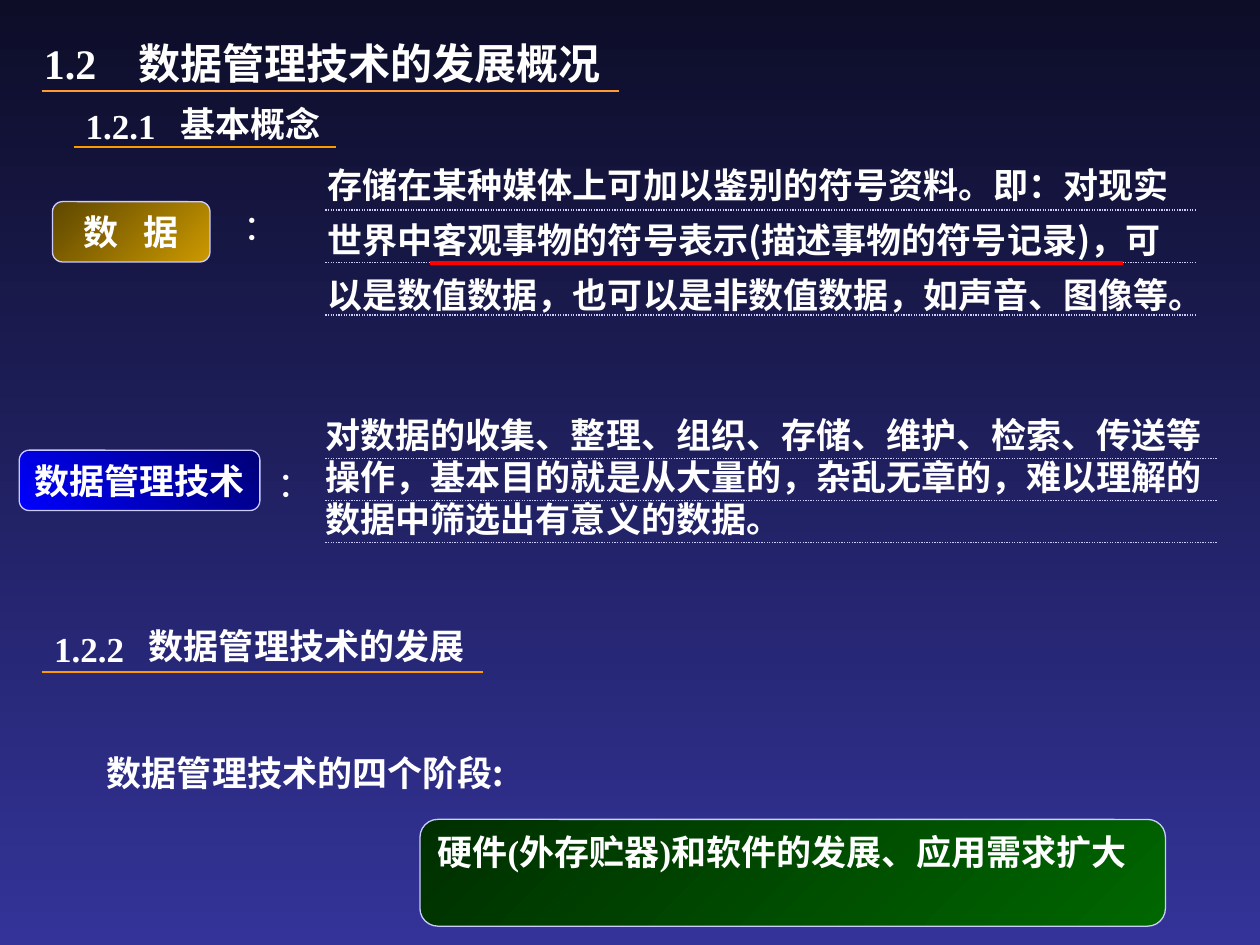
from pptx import Presentation
from pptx.dml.color import RGBColor
from pptx.enum.dml import MSO_LINE
from pptx.enum.shapes import MSO_CONNECTOR, MSO_SHAPE
from pptx.enum.text import MSO_ANCHOR, MSO_AUTO_SIZE, PP_ALIGN
from pptx.oxml.ns import qn
from pptx.util import Pt
from lxml import etree

ROUNDED = MSO_SHAPE.ROUNDED_RECTANGLE
STRAIGHT = MSO_CONNECTOR.STRAIGHT
DOTTED = MSO_LINE.ROUND_DOT
TOP, MIDDLE = MSO_ANCHOR.TOP, MSO_ANCHOR.MIDDLE
LEFT, CENTER = PP_ALIGN.LEFT, PP_ALIGN.CENTER
GROW, FIXED = MSO_AUTO_SIZE.SHAPE_TO_FIT_TEXT, MSO_AUTO_SIZE.NONE

THEME = {
    "background": ("0D0D28", "333399"),
    "gold": ("5E4700", "CC9900"),
    "blue": ("0000FF", "000076"),
    "green": ("002F00", "006600"),
    "text": "FFFFFF",
    "outline": "CCCCFF",
    "title rule": "FF9933",
    "section rule": "FF9900",
    "emphasis": "FF0000",
    "title size": 24,
    "body size": 20,
    "latin": "Times New Roman",
    "chinese": "Noto Sans CJK SC",
}


def write(shape, lines, size=THEME["body size"], font=THEME["latin"], bold=True,
          align=LEFT, anchor=TOP, gap=0, wrap=True, fit=GROW):
    """Fill a shape with lines; each line is a list of (text, letter spacing) runs."""
    frame = shape.text_frame
    frame.word_wrap = wrap
    frame.auto_size = fit
    frame.vertical_anchor = anchor
    for index, runs in enumerate(lines):
        paragraph = frame.add_paragraph() if index else frame.paragraphs[0]
        paragraph.alignment = align
        paragraph.space_before = Pt(gap if index else 0)
        for text, spacing in runs:
            run = paragraph.add_run()
            run.text = text
            run.font.size = Pt(size)
            run.font.bold = bold
            run.font.name = font
            run.font.color.rgb = RGBColor.from_string(THEME["text"])
            properties = run.font._element
            etree.SubElement(properties, qn("a:ea")).set("typeface", THEME["chinese"])
            if spacing:
                properties.set("spc", str(spacing * 100))


def shade(fill, colors, angle):
    fill.gradient()
    fill.gradient_angle = angle
    for stop, color, position in zip(fill.gradient_stops, colors, (0, 1)):
        stop.color.rgb = RGBColor.from_string(color)
        stop.position = position


presentation = Presentation()
presentation.slide_width, presentation.slide_height = Pt(720), Pt(540)
slide = presentation.slides.add_slide(presentation.slide_layouts[5])
shapes = slide.shapes
shade(slide.background.fill, THEME["background"], 270)

title = shapes.title
title.left, title.top, title.width, title.height = Pt(40), Pt(18), Pt(342), Pt(36)
write(title, [[("数据管理技术的发展概况", 0)]], size=THEME["title size"],
      font=THEME["chinese"], align=CENTER, anchor=MIDDLE, fit=FIXED)

# Rules: left, right, y, color, width, dash
rules = [
    (23.75, 353.5, 52.1, "title rule", 1.5, None),
    (42.25, 192, 84, "section rule", 1, None),
    (24, 276, 384, "section rule", 1, None),
]
rules += [(186, 684, 120 + 30 * row, "outline", 0.75, DOTTED) for row in range(3)]
rules += [(186, 695.5, 262 + 24 * row, "outline", 0.75, DOTTED) for row in range(3)]
rules.append((246, 642, 150.1, "emphasis", 2.25, None))
for left, right, y, color, width, dash in rules:
    rule = shapes.add_connector(STRAIGHT, Pt(left), Pt(y), Pt(right), Pt(y))
    rule.line.color.rgb = RGBColor.from_string(THEME[color])
    rule.line.width = Pt(width)
    if dash:
        rule.line.dash_style = dash
    etree.SubElement(rule._element.spPr, qn("a:effectLst"))

# Colored boxes: place, gradient, angle, runs, options
boxes = [
    ((30, 115.25, 90, 34.5), "gold", 315, [("数 ", 5), ("据", 0)], {"align": CENTER}),
    ((11, 257.25, 137.5, 34.5), "blue", 45, [("数据管理技术", 0)], {"wrap": False}),
    ((240, 468.25, 426, 61), "green", 315,
     [("硬件(外存贮器)和软件的发展、应用需求扩大", 0)], {}),
]
for place, colors, angle, runs, options in boxes:
    box = shapes.add_shape(ROUNDED, *map(Pt, place))
    box.shadow.inherit = False
    shade(box.fill, THEME[colors], angle)
    box.line.color.rgb = RGBColor.from_string(THEME["outline"])
    box.line.width = Pt(0.75)
    if colors == "blue":
        box.text_frame.margin_right = Pt(0)
    write(box, [runs], **options)

data_definition = [
    "存储在某种媒体上可加以鉴别的符号资料。即：对现实",
    "世界中客观事物的符号表示(描述事物的符号记录)，可",
    "以是数值数据，也可以是非数值数据，如声音、图像等。",
]
management_definition = [
    "对数据的收集、整理、组织、存储、维护、检索、传送等",
    "操作，基本目的就是从大量的，杂乱无章的，难以理解的",
    "数据中筛选出有意义的数据。",
]
heading = {"anchor": MIDDLE, "fit": FIXED}
number = {**heading, "align": CENTER}
colon = {"bold": False, "wrap": False}

# Plain text: place, lines, options
texts = [
    ((18, 18, 52, 36), ["1.2"], {"size": THEME["title size"]}),
    ((36, 59.5, 66, 24), ["1.2.1"], number),
    ((96, 49.5, 192, 42), ["基本概念"], heading),
    ((144, 90, 576, 94), data_definition, {"font": THEME["chinese"], "gap": 7.5}),
    ((132, 114, 34.5, 31.5), ["："], colon),
    ((179, 232.5, 515.5, 79), management_definition, {"wrap": False}),
    ((151.75, 260.5, 34.5, 31.5), ["："], colon),
    ((18, 358.5, 66, 24), ["1.2.2"], number),
    ((78, 348, 240, 42), ["数据管理技术的发展"], heading),
    ((54, 426, 276, 31.5), ["数据管理技术的四个阶段:"], {"font": THEME["chinese"]}),
]
for place, lines, options in texts:
    text_box = shapes.add_textbox(*map(Pt, place))
    if lines is data_definition:
        text_box.text_frame.margin_left = Pt(43.2)
    write(text_box, [[(line, 0)] for line in lines], **options)

presentation.save("out.pptx")
